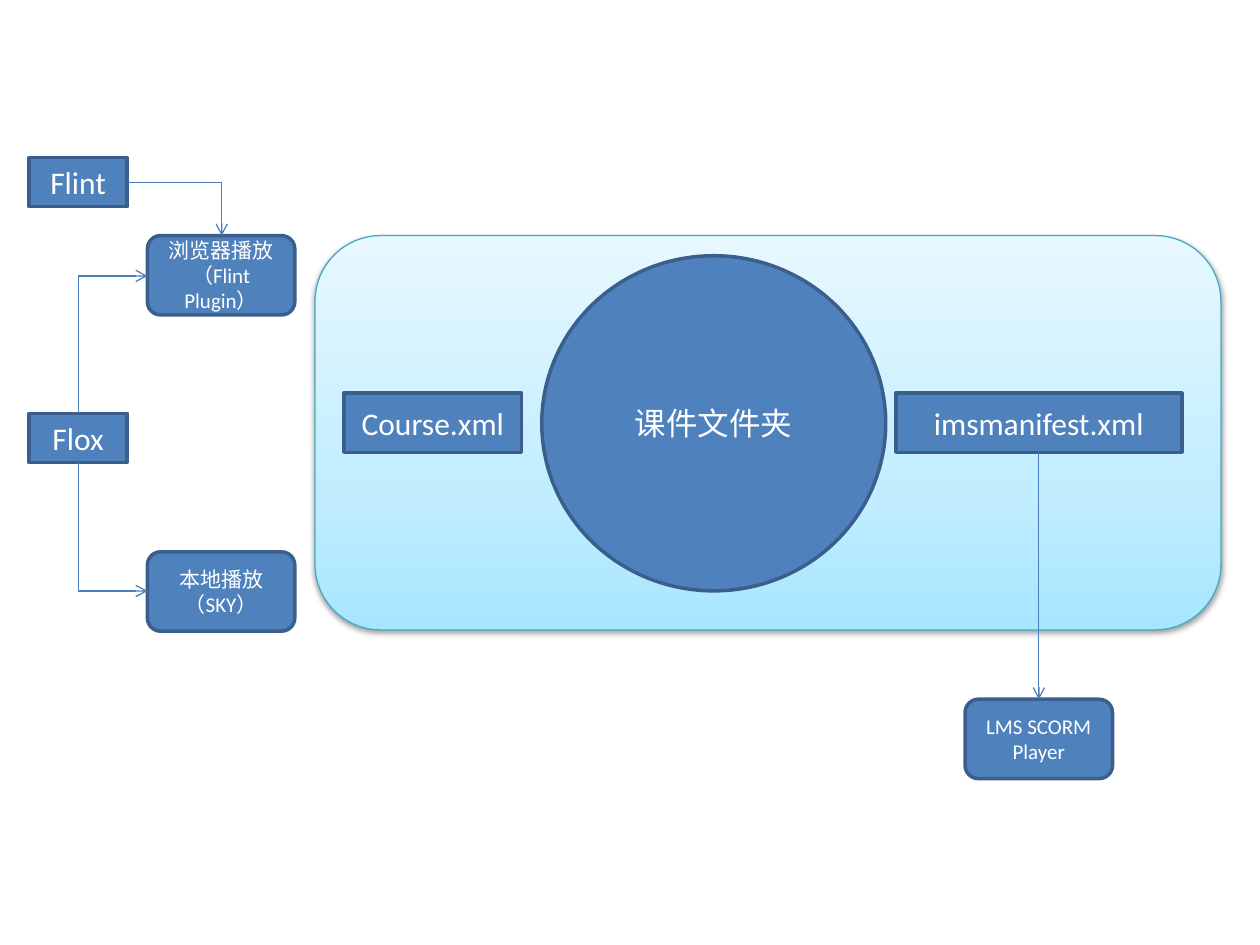
from copy import deepcopy

from lxml.etree import SubElement
from pptx import Presentation
from pptx.dml.color import RGBColor
from pptx.enum.shapes import MSO_CONNECTOR, MSO_SHAPE
from pptx.enum.text import MSO_ANCHOR, PP_ALIGN
from pptx.oxml.ns import qn
from pptx.util import Inches, Pt

THEME = {
    "node": RGBColor.from_string("4F81BD"),
    "node_edge": RGBColor.from_string("3A5F8C"),
    "text": RGBColor.from_string("FFFFFF"),
    "arrow": RGBColor.from_string("4B7EBC"),
    "panel_edge": RGBColor.from_string("46AAC5"),
    "panel_stops": [(0, "A7E6FF"), (0.35, "C1EDFF"), (1, "E7F8FF")],
    "shadow": "000000",
    "large": {"name": "Calibri", "size": Pt(18)},
    "small": {"name": "Calibri", "size": Pt(12)},
}

prs = Presentation()
prs.slide_width, prs.slide_height = Inches(10), Inches(7.5)
slide = prs.slides.add_slide(prs.slide_layouts[6])


def add_node(kind, left, top, width, height, lines, font_format):
    node = slide.shapes.add_shape(
        kind, Inches(left), Inches(top), Inches(width), Inches(height))
    node.shadow.inherit = False
    node.fill.solid()
    node.fill.fore_color.rgb = THEME["node"]
    node.line.color.rgb = THEME["node_edge"]
    node.line.width = Pt(2)
    frame = node.text_frame
    frame.word_wrap = True
    frame.vertical_anchor = MSO_ANCHOR.MIDDLE
    frame.text = "\n".join(lines)
    for paragraph in frame.paragraphs:
        paragraph.alignment = PP_ALIGN.CENTER
        font = paragraph.runs[0].font
        font.color.rgb = THEME["text"]
        for attribute, value in font_format.items():
            setattr(font, attribute, value)
    return node


def add_arrow(kind, begin_x, begin_y, end_x, end_y):
    arrow = slide.shapes.add_connector(
        kind, Inches(begin_x), Inches(begin_y), Inches(end_x), Inches(end_y))
    arrow.line.color.rgb = THEME["arrow"]
    arrow.line.width = Pt(0.75)
    SubElement(arrow.line._get_or_add_ln(), qn("a:tailEnd"), type="arrow")
    properties = arrow._element.spPr
    SubElement(properties, qn("a:effectLst"))
    if kind == MSO_CONNECTOR.ELBOW:
        properties.find(qn("a:prstGeom")).set("prst", "bentConnector2")
    return arrow


panel = slide.shapes.add_shape(
    MSO_SHAPE.ROUNDED_RECTANGLE, Inches(2.5), Inches(1.87), Inches(7.19), Inches(3.13))
panel.shadow.inherit = False
panel.line.color.rgb = THEME["panel_edge"]
panel.line.width = Pt(0.75)
panel.fill.gradient()
panel.fill.gradient_angle = 90
stop_list = panel._element.spPr.find(qn("a:gradFill")).find(qn("a:gsLst"))
stop_list.append(deepcopy(stop_list[0]))
for stop, (position, colour) in zip(panel.fill.gradient_stops, THEME["panel_stops"]):
    stop.position = position
    stop.color.rgb = RGBColor.from_string(colour)
panel_shadow = SubElement(
    panel._element.spPr.find(qn("a:effectLst")), qn("a:outerShdw"),
    blurRad=str(Pt(3.1)), dist=str(Pt(1.6)), dir="5400000", rotWithShape="0")
shadow_colour = SubElement(panel_shadow, qn("a:srgbClr"), val=THEME["shadow"])
SubElement(shadow_colour, qn("a:alpha"), val="38000")

add_node(MSO_SHAPE.OVAL, 4.3, 2.03, 2.73, 2.66, ["课件文件夹"], THEME["large"])
add_node(MSO_SHAPE.RECTANGLE, 2.73, 3.12, 1.41, 0.47, ["Course.xml"], THEME["large"])
manifest = add_node(
    MSO_SHAPE.RECTANGLE, 7.11, 3.12, 2.27, 0.47, ["imsmanifest.xml"], THEME["large"])

for top, tool in [(1.25, "Flint"), (3.28, "Flox")]:
    add_node(MSO_SHAPE.RECTANGLE, 0.23, top, 0.78, 0.39, [tool], THEME["large"])

players = [
    (1.17, 1.87, ["浏览器播放", "（Flint Plugin）"]),
    (1.17, 4.38, ["本地播放", "（SKY）"]),
    (7.66, 5.55, ["LMS SCORM", "Player"]),
]
for left, top, lines in players:
    player = add_node(
        MSO_SHAPE.ROUNDED_RECTANGLE, left, top, 1.17, 0.63, lines, THEME["small"])
lms_player = player

add_arrow(MSO_CONNECTOR.ELBOW, 1.02, 1.45, 1.76, 1.87)

start_x, end_x = 0.62, 1.17
for start_y, end_y, turn in [(3.28, 2.19, 90), (3.67, 4.69, 270)]:
    centre_x, centre_y = (start_x + end_x) / 2, (start_y + end_y) / 2
    half_run = abs(end_y - start_y) / 2
    half_rise = (end_x - start_x) / 2 * (1 if turn == 90 else -1)
    branch = add_arrow(
        MSO_CONNECTOR.ELBOW, centre_x + half_run, centre_y + half_rise,
        centre_x - half_run, centre_y - half_rise)
    branch._element.spPr.find(qn("a:xfrm")).set("rot", str(turn * 60000))

manifest_arrow = add_arrow(MSO_CONNECTOR.STRAIGHT, 8.24, 3.59, 8.24, 5.55)
manifest_arrow.begin_connect(manifest, 2)
manifest_arrow.end_connect(lms_player, 0)

prs.save("out.pptx")
